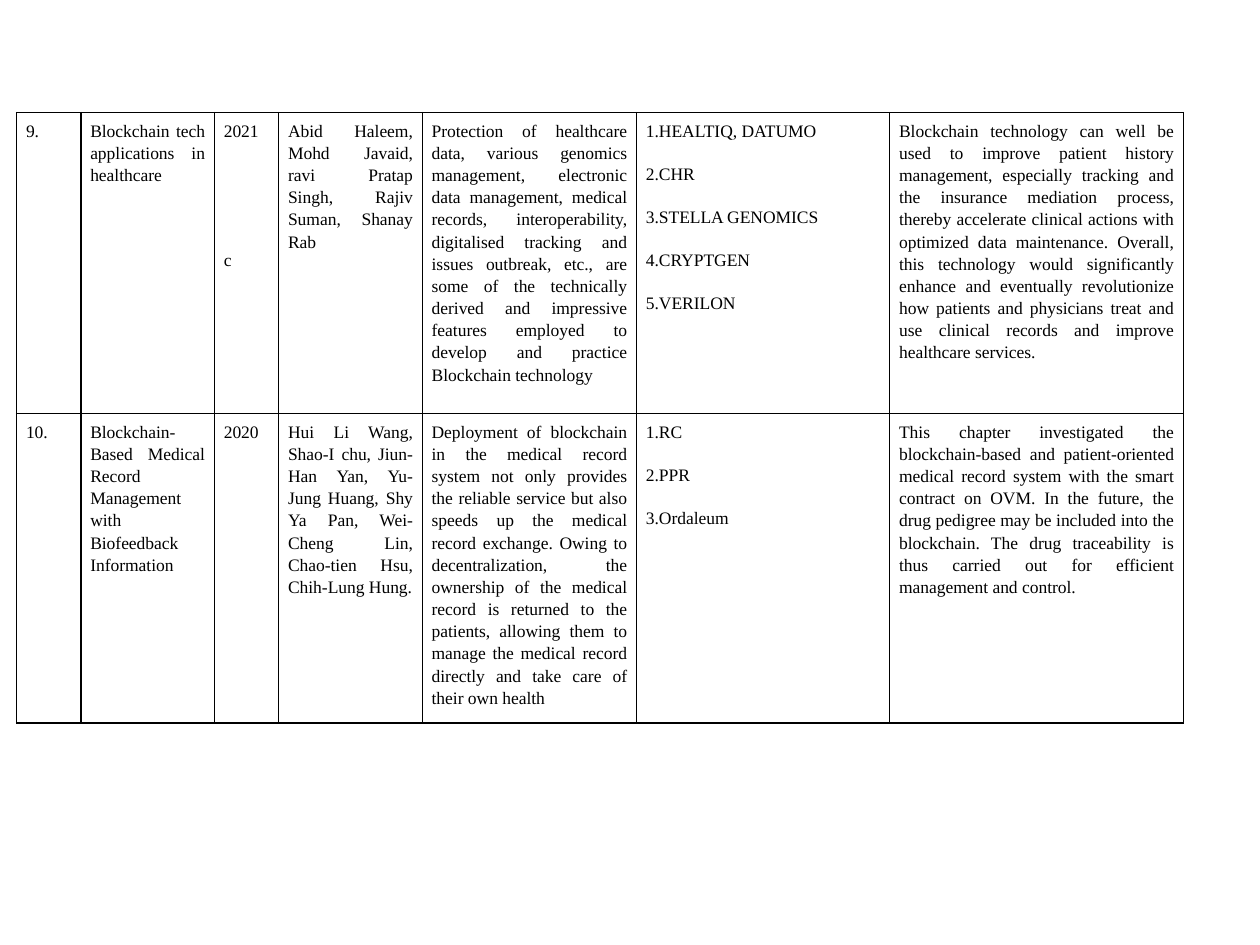
from lxml.etree import SubElement
from pptx import Presentation
from pptx.dml.color import RGBColor
from pptx.enum.text import PP_ALIGN
from pptx.oxml.ns import qn
from pptx.util import Pt

INK = "000000"
COLUMN_WIDTHS = [36.72, 76.32, 36.72, 82.08, 122.4, 144.72, 167.76]
ROW_HEIGHTS = [172, 177]
YEAR_COLUMN = 2

papers = [
    [
        "9.",
        "Blockchain tech applications in healthcare",
        "2021\nc",
        "Abid Haleem, Mohd Javaid, ravi Pratap Singh, Rajiv Suman, Shanay Rab",
        "Protection of healthcare data, various genomics management, electronic "
        "data management, medical records, interoperability, digitalised tracking "
        "and issues outbreak, etc., are some of the technically derived and "
        "impressive features employed to develop and practice Blockchain technology",
        "1.HEALTIQ, DATUMO\n2.CHR\n3.STELLA GENOMICS\n4.CRYPTGEN\n5.VERILON",
        "Blockchain technology can well be used to improve patient history "
        "management, especially tracking and the insurance mediation process, "
        "thereby accelerate clinical actions with optimized data maintenance. "
        "Overall, this technology would significantly enhance and eventually "
        "revolutionize how patients and physicians treat and use clinical records "
        "and improve healthcare services.",
    ],
    [
        "10.",
        "Blockchain-Based Medical Record Management with Biofeedback Information",
        "2020",
        "Hui Li Wang, Shao-I chu, Jiun-Han Yan, Yu-Jung Huang, Shy Ya Pan, "
        "Wei-Cheng Lin, Chao-tien Hsu, Chih-Lung Hung.",
        "Deployment of blockchain in the medical record system not only provides "
        "the reliable service but also speeds up the medical record exchange. "
        "Owing to decentralization, the ownership of the medical record is returned "
        "to the patients, allowing them to manage the medical record directly and "
        "take care of their own health",
        "1.RC\n2.PPR\n3.Ordaleum",
        "This chapter investigated the blockchain-based and patient-oriented "
        "medical record system with the smart contract on OVM. In the future, the "
        "drug pedigree may be included into the blockchain. The drug traceability "
        "is thus carried out for efficient management and control.",
    ],
]


def color(hex_code):
    return RGBColor.from_string(hex_code)


def add_borders(cell, hex_code, width):
    properties = cell._tc.get_or_add_tcPr()
    for side in ("a:lnL", "a:lnR", "a:lnT", "a:lnB"):
        line = SubElement(properties, qn(side), w=str(Pt(width)))
        fill = SubElement(line, qn("a:solidFill"))
        SubElement(fill, qn("a:srgbClr"), val=hex_code)


presentation = Presentation()
presentation.slide_width = Pt(720)
presentation.slide_height = Pt(540)
slide = presentation.slides.add_slide(presentation.slide_layouts[6])

survey = slide.shapes.add_table(
    len(papers), len(COLUMN_WIDTHS), Pt(9.5), Pt(64.3),
    Pt(sum(COLUMN_WIDTHS)), Pt(sum(ROW_HEIGHTS)),
).table
survey.first_row = False
survey.horz_banding = False
for column, width in zip(survey.columns, COLUMN_WIDTHS):
    column.width = Pt(width)

for row, height, paper in zip(survey.rows, ROW_HEIGHTS, papers):
    row.height = Pt(height)
    for index, (cell, entry) in enumerate(zip(row.cells, paper)):
        cell.margin_left = cell.margin_right = Pt(5.4)
        cell.margin_top = cell.margin_bottom = Pt(3.6)
        add_borders(cell, INK, 0.96)
        cell.fill.background()
        cell.text_frame.text = entry
        gap = 61 if index == YEAR_COLUMN else 12
        for position, paragraph in enumerate(cell.text_frame.paragraphs):
            paragraph.alignment = PP_ALIGN.JUSTIFY
            paragraph.line_spacing = 1.15
            paragraph.space_before = Pt(gap if position else 0)
            for run in paragraph.runs:
                run.font.name = "Times New Roman"
                run.font.size = Pt(10)
                run.font.color.rgb = color(INK)

presentation.save("out.pptx")
